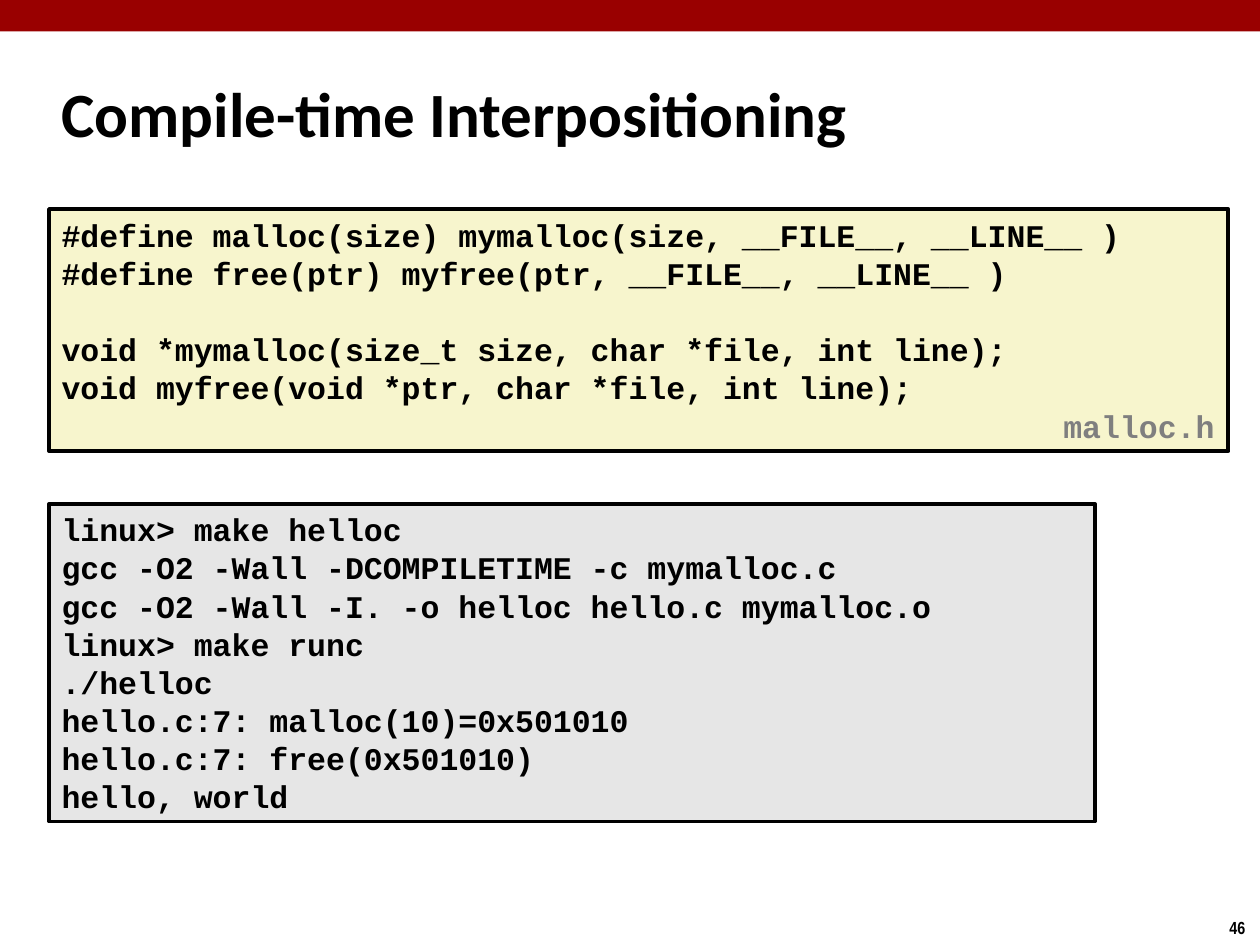
"""Build the compile-time interpositioning slide."""
from pptx import Presentation, util as u
from pptx.dml.color import RGBColor
from pptx.enum import shapes, text

CODE = dict(name="Courier New", size=u.Pt(18), bold=True)
HEAD = dict(name="Calibri", size=u.Pt(36), bold=True)
PAGE = dict(name="Arial Narrow", size=u.Pt(10), bold=True)
PITCH = u.Pt(21.75)

HEADER = [
    ["#define malloc(size) mymalloc(size, __FILE__, __LINE__ )",
     "#define free(ptr) myfree(ptr, __FILE__, __LINE__ )"],
    ["void *mymalloc(size_t size, char *file, int line);",
     "void myfree(void *ptr, char *file, int line);"],
]
SHELL = [[
    "linux> make helloc",
    "gcc -O2 -Wall -DCOMPILETIME -c mymalloc.c",
    "gcc -O2 -Wall -I. -o helloc hello.c mymalloc.o",
    "linux> make runc",
    "./helloc",
    "hello.c:7: malloc(10)=0x501010",
    "hello.c:7: free(0x501010)",
    "hello, world",
]]
PANELS = [
    ((0.39, 1.66, 9.36, 1.92), "F7F5CD", HEADER),
    ((0.39, 4, 8.3, 2.52), "E6E6E6", SHELL),
]
LABELS = [
    ((0.39, 0.48, 8.3, 0.83), "Compile-time Interpositioning", HEAD, "000000", True),
    ((8.34, 3.18, 1.41, 0.4), "malloc.h", CODE, "7F7F7F", False),
    ((9.66, 7.23, 0.34, 0.27), "46", PAGE, "000000", False),
]


def tint(code):
    return RGBColor.from_string(code)


def style(para, look, color):
    for key, val in look.items():
        setattr(para.font, key, val)
    para.font.color.rgb = tint(color)
    para.alignment = text.PP_ALIGN.LEFT


def block(slide, at, color):
    box = slide.shapes.add_shape(shapes.MSO_SHAPE.RECTANGLE, *map(u.Inches, at))
    box.shadow.inherit = False
    box.fill.solid()
    box.fill.fore_color.rgb = tint(color)
    box.line.fill.background()
    return box


def panel(slide, at, color, groups):
    box = block(slide, at, color)
    box.line.color.rgb = tint("000000")
    box.line.width = u.Pt(2.25)
    frame = box.text_frame
    frame.word_wrap = True
    frame.vertical_anchor = text.MSO_ANCHOR.TOP
    para = frame.paragraphs[0]
    for g, group in enumerate(groups):
        for n, line in enumerate(group):
            if g or n:
                para = frame.add_paragraph()
            para.text = line
            style(para, CODE, "000000")
            para.line_spacing = PITCH
            if g and not n:
                para.space_before = PITCH


def label(slide, at, words, look, color, wrap):
    frame = slide.shapes.add_textbox(*map(u.Inches, at)).text_frame
    frame.word_wrap = wrap
    frame.vertical_anchor = text.MSO_ANCHOR.MIDDLE
    frame.text = words
    style(frame.paragraphs[0], look, color)


def main():
    deck = Presentation()
    deck.slide_width, deck.slide_height = u.Inches(10), u.Inches(7.5)
    slide = deck.slides.add_slide(deck.slide_layouts[6])
    block(slide, (0, 0, 10, 0.25), "990000")
    for item in PANELS:
        panel(slide, *item)
    for item in LABELS:
        label(slide, *item)
    deck.save("out.pptx")


if __name__ == "__main__":
    main()
